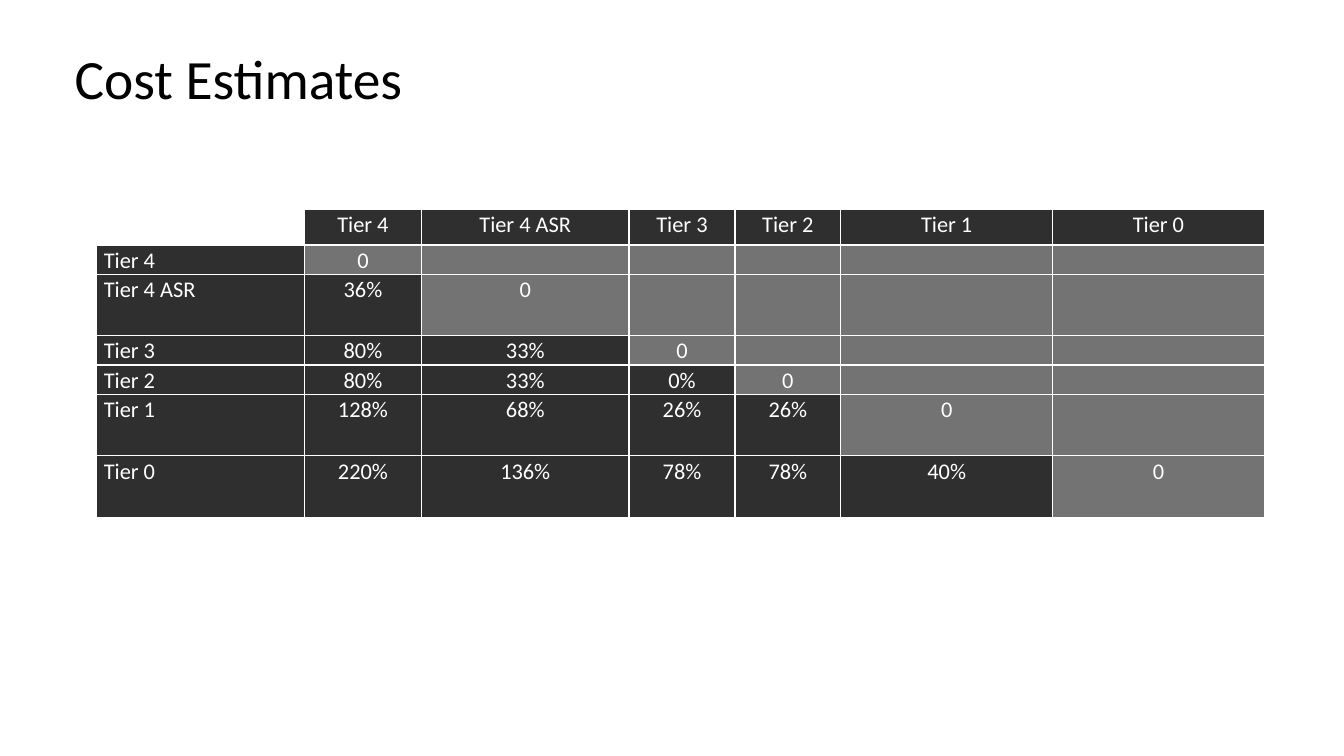
from dataclasses import dataclass

from lxml.etree import SubElement
from pptx import Presentation
from pptx.dml.color import RGBColor
from pptx.enum.text import MSO_ANCHOR, MSO_AUTO_SIZE, PP_ALIGN
from pptx.oxml.ns import qn
from pptx.slide import Slide
from pptx.table import Table, _Cell
from pptx.text.text import TextFrame
from pptx.util import Emu, Pt

SCALE = 9144


@dataclass(frozen=True)
class Theme:
    font: str = "Calibri"
    black: str = "000000"
    white: str = "FFFFFF"
    dark: str = "2F2F2F"
    gray: str = "737373"
    head: float = 39.6
    body: float = 16
    rule: float = 1


@dataclass(frozen=True)
class Tier:
    name: str
    high: int
    wide: int
    costs: tuple[str, ...]


THEME = Theme()
CORNER = 206
TOP = (29, 35)
TIERS = (
    Tier("Tier 4", 29, 116, ()),
    Tier("Tier 4 ASR", 61, 206, ("36%",)),
    Tier("Tier 3", 29, 105, ("80%", "33%")),
    Tier("Tier 2", 29, 105, ("80%", "33%", "0%")),
    Tier("Tier 1", 61, 210, ("128%", "68%", "26%", "26%")),
    Tier("Tier 0", 61, 210, ("220%", "136%", "78%", "78%", "40%")),
)


def px(count: int) -> Emu:
    return Emu(count * SCALE)


def write(frame: TextFrame, text: str, *, size: float, color: str,
          align: PP_ALIGN = PP_ALIGN.LEFT, lead: float = 1.07, after: float = 0) -> None:
    para = frame.paragraphs[0]
    para.alignment = align
    para.line_spacing = lead
    para.space_after = Pt(after)
    if not text:
        SubElement(para._p, qn("a:endParaRPr"), sz=str(int(size * 100)))
        return
    run = para.add_run()
    run.text = text
    run.font.name = THEME.font
    run.font.size = Pt(size)
    run.font.color.rgb = RGBColor.from_string(color)


def edge(cell: _Cell) -> None:
    props = cell._tc.get_or_add_tcPr()
    for side in ("L", "R", "T", "B"):
        line = SubElement(props, qn(f"a:ln{side}"), w=str(Pt(THEME.rule)))
        fill = SubElement(line, qn("a:solidFill"))
        SubElement(fill, qn("a:srgbClr"), val=THEME.white)


def paint(cell: _Cell, text: str, fill: str, align: PP_ALIGN = PP_ALIGN.CENTER) -> None:
    edge(cell)
    cell.fill.solid()
    cell.fill.fore_color.rgb = RGBColor.from_string(fill)
    cell.margin_left = cell.margin_right = px(7)
    cell.margin_top = cell.margin_bottom = 0
    write(cell.text_frame, text, size=THEME.body, color=THEME.white, align=align, after=8)


def add_title(slide: Slide, text: str) -> None:
    title = slide.shapes.title
    title.left, title.top, title.width, title.height = map(px, (64, 50, 1205, 61))
    frame = title.text_frame
    frame.word_wrap = True
    frame.auto_size = MSO_AUTO_SIZE.NONE
    frame.vertical_anchor = MSO_ANCHOR.MIDDLE
    write(frame, text, size=THEME.head, color=THEME.black, lead=0.9)


def add_grid(slide: Slide) -> Table:
    wide = (CORNER, *(tier.wide for tier in TIERS))
    high = (*TOP, *(tier.high for tier in TIERS))
    shape = slide.shapes.add_table(len(high), len(wide), px(96), px(179),
                                   px(sum(wide)), px(sum(high)))
    table = shape.table
    table.first_row = table.horz_banding = False
    for col, size in zip(table.columns, wide):
        col.width = px(size)
    for row, size in zip(table.rows, high):
        row.height = px(size)
    return table


def fill_grid(table: Table) -> None:
    last = len(TIERS)
    for col in range(last + 1):
        paint(table.cell(0, col), "", THEME.white)
    paint(table.cell(1, 0), "", THEME.white)
    table.cell(0, 0).merge(table.cell(1, 0))
    table.cell(0, 1).merge(table.cell(0, last))
    for rank, tier in enumerate(TIERS):
        row = rank + len(TOP)
        paint(table.cell(1, rank + 1), tier.name, THEME.dark)
        paint(table.cell(row, 0), tier.name, THEME.dark, PP_ALIGN.LEFT)
        blanks = ("",) * (last - rank - 1)
        for spot, text in enumerate((*tier.costs, "0", *blanks)):
            fill = THEME.dark if spot < rank else THEME.gray
            paint(table.cell(row, spot + 1), text, fill)


def main() -> None:
    deck = Presentation()
    deck.slide_width, deck.slide_height = px(1333), px(750)
    slide = deck.slides.add_slide(deck.slide_layouts[5])
    add_title(slide, "Cost Estimates")
    fill_grid(add_grid(slide))
    deck.save("out.pptx")


if __name__ == "__main__":
    main()
